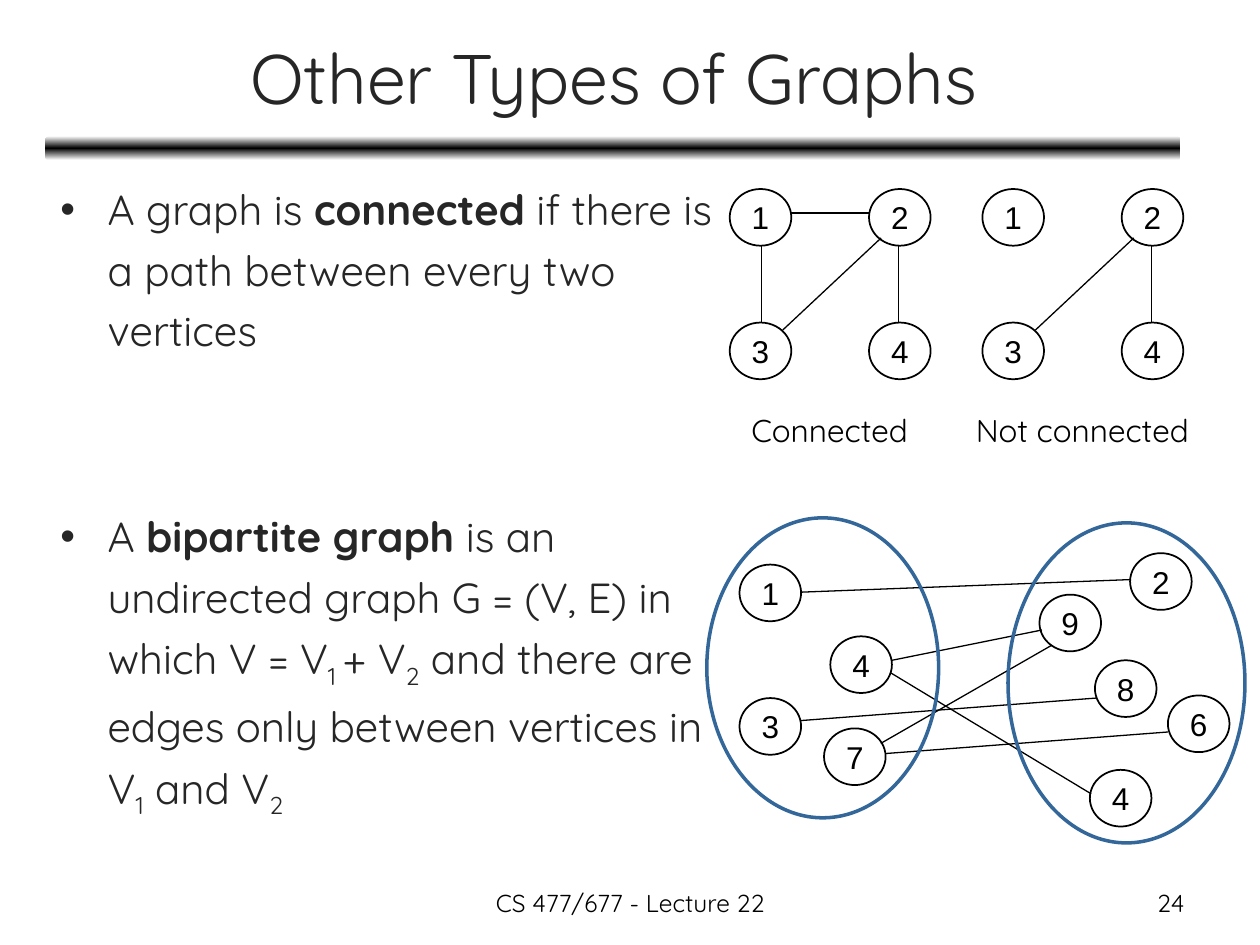
from copy import deepcopy

from lxml import etree
from pptx import Presentation
from pptx.dml.color import RGBColor
from pptx.enum.shapes import MSO_CONNECTOR, MSO_SHAPE
from pptx.enum.text import MSO_ANCHOR, PP_ALIGN
from pptx.oxml.ns import qn
from pptx.util import Pt

OVAL, BAR = MSO_SHAPE.OVAL, MSO_SHAPE.ROUNDED_RECTANGLE
LINE = MSO_CONNECTOR.STRAIGHT
LEFT, MID, RIGHT = PP_ALIGN.LEFT, PP_ALIGN.CENTER, PP_ALIGN.RIGHT
BLACK = RGBColor(0, 0, 0)
WHITE = RGBColor(255, 255, 255)
DARK = RGBColor(0x26, 0x26, 0x26)
BLUE = RGBColor(0x33, 0x66, 0x99)
FONT = "Quicksand"

# Content: text, box, size, colour, alignment, anchor, wrap
TOP, MIDDLE = MSO_ANCHOR.TOP, MSO_ANCHOR.MIDDLE
LABELS = [
    ("Other Types of Graphs", (26.6, 7.9, 648, 71.3), 40, DARK, MID, MIDDLE, True),
    ("Connected", (415.4, 231.1, 117.4, 28.8), 18, BLACK, MID, TOP, False),
    ("Not connected", (542.9, 231.1, 151.2, 28.8), 18, BLACK, MID, TOP, False),
    ("CS 477/677 - Lecture 22", (246.2, 504, 228.2, 25.2), 14, BLACK, MID, TOP, True),
    ("24", (516.2, 504, 167.8, 25.2), 14, BLACK, RIGHT, TOP, True),
]
# Points: space before, then runs marked b (bold) or s (subscript)
POINTS = [
    (0, [("A graph is ", ""), ("connected", "b"),
         (" if there is a path between every two vertices", "")]),
    (83, [("A ", ""), ("bipartite graph", "b"),
          (" is an undirected graph G = (V, E) in which V = V", ""),
          ("1 ", "s"), ("+ V", ""), ("2", "s"),
          (" and there are edges only between vertices in V", ""),
          ("1", "s"), (" and V", ""), ("2", "s")]),
]
# Small graphs: node grid and edges relative to the graph's corner
NODE_W, NODE_H = 35.2, 32.4
COL, ROW = 79.6, 76.3
SHARED = [(96.5, NODE_H, 96.5, ROW), (86.5, 28, 30.3, 80.6)]
EXTRA = [(NODE_W, 13.7, COL, 13.7), (18, ROW, 18, NODE_H)]
GRAPHS = [(417, 108, SHARED + EXTRA), (561.4, 108, SHARED)]
# Bipartite graph
NODES = [
    ("1", 422.6, 322.6), ("2", 645.8, 316.1), ("3", 422.6, 398.9),
    ("4", 622.8, 439.9), ("4", 474.5, 363.6), ("9", 594, 339.8),
    ("7", 470.9, 416.2), ("6", 667.4, 397.4), ("8", 625.7, 377.3),
]
EDGES = [
    (457.2, 338.4, 645.8, 331.2), (509, 384.5, 623.5, 453.6),
    (457.2, 411.8, 626.4, 398.9), (509.8, 377.3, 595.4, 360),
    (506.2, 430.6, 667.4, 418.3), (601.2, 368.6, 503.3, 424.8),
]
SETS = [(403.9, 295.9, 132.5, 171.4), (576, 298.8, 135.4, 182.9)]

deck = Presentation()
deck.slide_width, deck.slide_height = Pt(720), Pt(540)
slide = deck.slides.add_slide(deck.slide_layouts[6])
shapes = slide.shapes


def style(para, size, color, align, name=FONT):
    para.alignment = align
    font = para.font
    font.size, font.name = Pt(size), name
    font.color.rgb = color


def add_oval(box, color, width):
    oval = shapes.add_shape(OVAL, *map(Pt, box))
    oval.shadow.inherit = False
    oval.fill.background()
    oval.line.color.rgb = color
    oval.line.width = Pt(width)
    return oval


def add_node(name, x, y):
    frame = add_oval((x, y, NODE_W, NODE_H), BLACK, 1).text_frame
    frame.word_wrap = False
    frame.vertical_anchor = MIDDLE
    frame.text = name
    style(frame.paragraphs[0], 18, BLACK, MID, "Arial")


def add_edge(*ends):
    edge = shapes.add_connector(LINE, *map(Pt, ends))
    edge.line.color.rgb = BLACK
    edge.line.width = Pt(0.75)
    etree.SubElement(edge._element.spPr, qn("a:effectLst"))


# Rule under the title, fading from black to white
bar = shapes.add_shape(BAR, Pt(25.9), Pt(77.8), Pt(648.7), Pt(13.7))
bar.shadow.inherit = False
bar.line.fill.background()
bar.fill.gradient()
bar.fill.gradient_angle = 90
for stop, color, pos in zip(bar.fill.gradient_stops, (WHITE, BLACK), (0, 0.5)):
    stop.color.rgb = color
    stop.position = pos
stops = bar._element.spPr.find(".//" + qn("a:gsLst"))
last = deepcopy(stops[0])
last.set("pos", "100000")
stops.append(last)

# Title, captions and footer
for text, box, size, color, align, anchor, wrap in LABELS:
    frame = shapes.add_textbox(*map(Pt, box)).text_frame
    frame.word_wrap = wrap
    frame.vertical_anchor = anchor
    frame.text = text
    style(frame.paragraphs[0], size, color, align)

# Bullet points
body = shapes.add_textbox(Pt(27.4), Pt(95.8), Pt(388.8), Pt(399.6)).text_frame
body.word_wrap = True
for i, (gap, runs) in enumerate(POINTS):
    para = body.add_paragraph() if i else body.paragraphs[0]
    props = para._p.get_or_add_pPr()
    props.set("marL", str(Pt(27)))
    props.set("indent", str(-Pt(27)))
    etree.SubElement(props, qn("a:buFont")).set("typeface", "Arial")
    etree.SubElement(props, qn("a:buChar")).set("char", "•")
    para.line_spacing = 1.2
    para.space_before = Pt(gap)
    style(para, 24, DARK, LEFT)
    for text, mark in runs:
        run = para.add_run()
        run.text = text
        if mark == "b":
            run.font.bold = True
        elif mark == "s":
            run._r.get_or_add_rPr().set("baseline", "-25000")

# Connected and not connected graphs
for x, y, edges in GRAPHS:
    for i in range(4):
        add_node(str(i + 1), x + i % 2 * COL, y + i // 2 * ROW)
    for x1, y1, x2, y2 in edges:
        add_edge(x + x1, y + y1, x + x2, y + y2)

# Bipartite graph with its two vertex sets
for node in NODES:
    add_node(*node)
for ends in EDGES:
    add_edge(*ends)
for box in SETS:
    add_oval(box, BLUE, 2)

deck.save("out.pptx")
